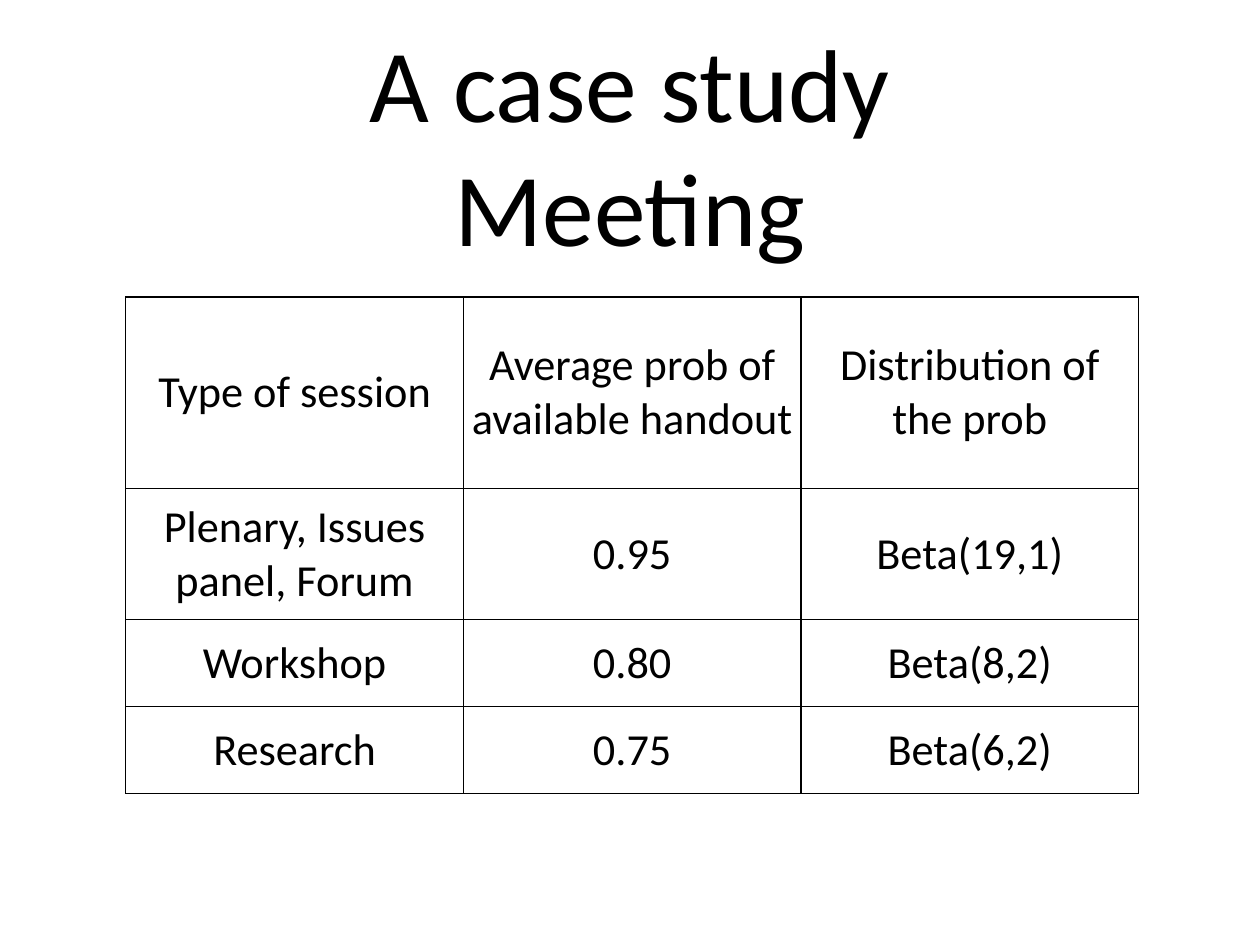
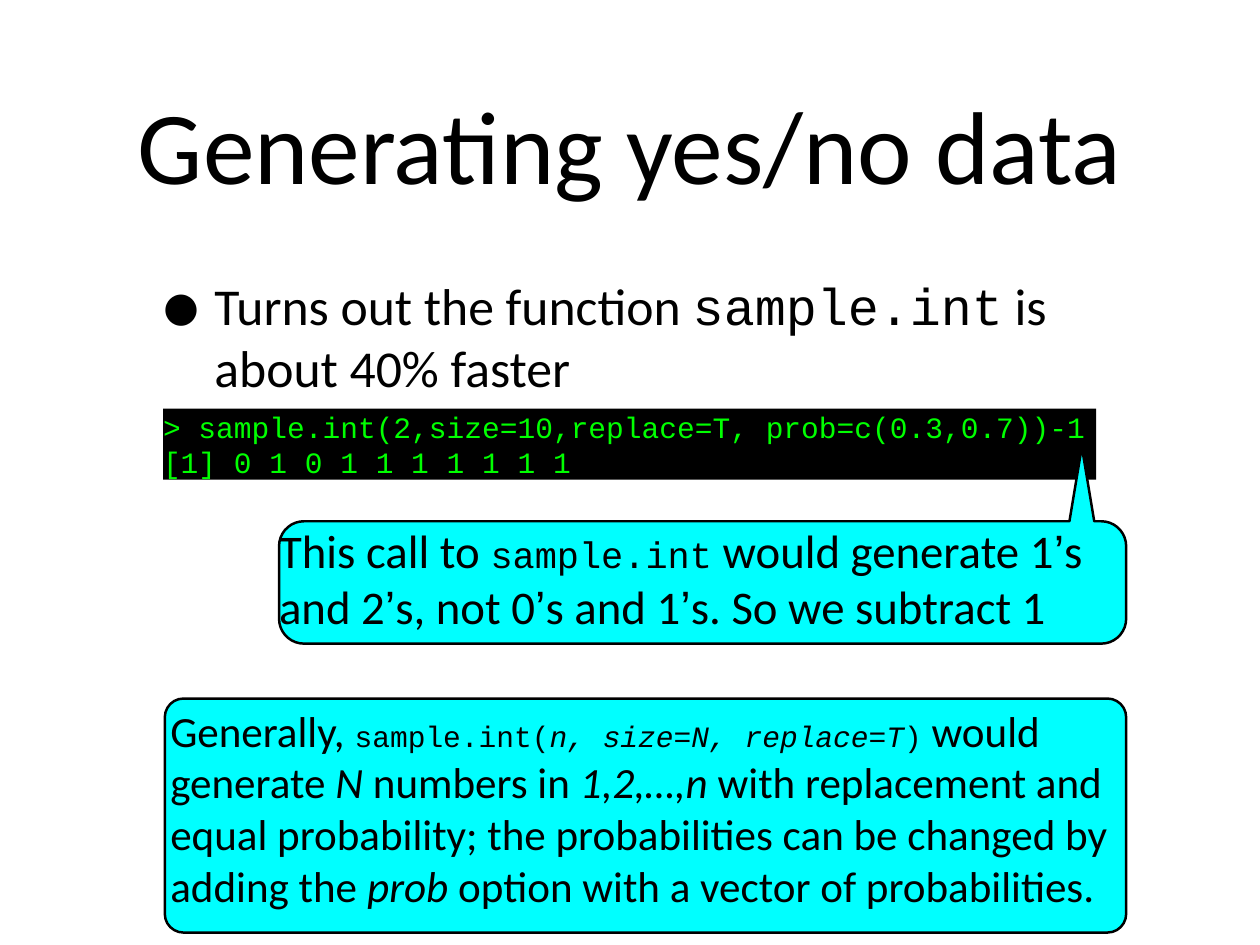
from itertools import groupby
from math import cos, radians, sin

from lxml import etree
from pptx import Presentation
from pptx.dml.color import RGBColor
from pptx.enum.shapes import MSO_SHAPE
from pptx.enum.text import MSO_ANCHOR, PP_ALIGN
from pptx.oxml.ns import qn
from pptx.util import Inches, Pt

LEFT, CENTER = PP_ALIGN.LEFT, PP_ALIGN.CENTER
TOP, MIDDLE = MSO_ANCHOR.TOP, MSO_ANCHOR.MIDDLE
RECT, ROUND = MSO_SHAPE.RECTANGLE, MSO_SHAPE.ROUNDED_RECTANGLE

COLORS = {"ink": "000000", "note": "00FFFF", "code": "00FF00"}
BODY, MONO, QUOTE = "Calibri", "Courier New", "Arial"
SIZE = (14.22, 10.66)
TITLE = {"box": (1.39, 0.28, 11.44, 2.67), "size": 84}

STUDY = "A case study\vMeeting"
SESSIONS = [
    ("Type of session", "Average prob of available handout", "Distribution of the prob"),
    ("Plenary, Issues panel, Forum", "0.95", "Beta(19,1)"),
    ("Workshop", "0.80", "Beta(8,2)"),
    ("Research", "0.75", "Beta(6,2)"),
]
GRID = {"at": (1.42, 3.35), "col": 3.81, "rows": (2.16, 1.48, 0.98, 0.98), "size": 36}

YESNO = "Generating yes/no data"
POINT = [
    ("Turns out the function ", {}),
    ("sample.int", {"name": MONO}),
    (" is about 40% faster", {}),
]
CODE = [(
    "> sample.int(2,size=10,replace=T, prob=c(0.3,0.7))-1 [1] 0 1 0 1 1 1 1 1 1 1",
    {"name": MONO, "color": "code"},
)]
CALL = [
    ("This call to ", {}),
    ("sample.int", {"name": MONO, "size": 30}),
    (" would generate 1’s and 2’s, not 0’s and 1’s. So we subtract 1", {}),
]
SMALL = {"name": MONO, "size": 24}
SLANT = {"italic": True}
RULE = [
    ("Generally, ", {}),
    ("sample.int(", SMALL),
    ("n, size=N, replace=T", SMALL | SLANT),
    (")", SMALL),
    (" would generate ", {}),
    ("N ", SLANT),
    ("numbers in ", {}),
    ("1,2,…,n", SLANT),
    (" with replacement and equal probability; the probabilities can be "
     "changed by adding the ", {}),
    ("prob", SLANT),
    (" option with a vector of probabilities.", {}),
]
CALLOUT = {"box": (3.15, 5.88, 9.56, 1.38), "tip": (12.21, 5.04), "half": 0.14, "radius": 0.28}


def tint(name):
    return RGBColor.from_string(COLORS[name])


def write(frame, runs, size, align=LEFT):
    para = frame.paragraphs[0]
    para.alignment = align
    for text, style in runs:
        look = {"name": BODY, "size": size, "italic": False, "color": "ink"} | style
        for quote, chars in groupby(text, lambda char: char == "’"):
            run = para.add_run()
            run.text = "".join(chars)
            values = {
                "name": QUOTE if quote else look["name"],
                "size": Pt(look["size"]),
                "italic": look["italic"],
            }
            for key, value in values.items():
                setattr(run.font, key, value)
            run.font.color.rgb = tint(look["color"])
    return para


def layout(frame, pad=0, anchor=TOP, top=None):
    values = {
        "word_wrap": True,
        "vertical_anchor": anchor,
        "margin_left": Inches(pad),
        "margin_right": Inches(pad),
        "margin_top": Inches(pad if top is None else top),
        "margin_bottom": Inches(pad),
    }
    for key, value in values.items():
        setattr(frame, key, value)


def add_text(slide, box, runs, size, align=LEFT, anchor=TOP):
    frame = slide.shapes.add_textbox(*map(Inches, box)).text_frame
    layout(frame, 0.06, anchor)
    para = frame.paragraphs[0]
    for index, line in enumerate(runs):
        text, style = line
        if "\v" in text:
            first, last = text.split("\v")
            write(frame, [(first, style)], size, align)
            para.add_line_break()
            text = last
        write(frame, [(text, style)], size, align)
    return para


def add_slide(title):
    slide = deck.slides.add_slide(deck.slide_layouts[6])
    add_text(slide, TITLE["box"], [(title, {})], TITLE["size"], CENTER, MIDDLE)
    return slide


def paint(shape, fill, line=None):
    shape.shadow.inherit = False
    shape.fill.solid()
    shape.fill.fore_color.rgb = tint(fill)
    if line:
        shape.line.color.rgb = tint(line)
        shape.line.width = Pt(2)
    else:
        shape.line.fill.background()


def add_bullet(para):
    props = para._p.get_or_add_pPr()
    props.set("marL", str(Inches(0.97)))
    props.set("indent", str(Inches(-0.62)))
    color = etree.SubElement(props, qn("a:buClr"))
    etree.SubElement(color, qn("a:srgbClr"), val=COLORS["ink"])
    etree.SubElement(props, qn("a:buSzPct"), val="171000")
    etree.SubElement(props, qn("a:buFont"), typeface=BODY)
    etree.SubElement(props, qn("a:buChar"), char="•")


def add_border(cell):
    props = cell._tc.get_or_add_tcPr()
    for place, side in enumerate(("a:lnL", "a:lnR", "a:lnT", "a:lnB")):
        line = etree.Element(qn(side), w=str(Pt(0.96)))
        fill = etree.SubElement(line, qn("a:solidFill"))
        etree.SubElement(fill, qn("a:srgbClr"), val=COLORS["ink"])
        props.insert(place, line)


def add_grid(slide):
    rows, cols = len(SESSIONS), len(SESSIONS[0])
    box = (*GRID["at"], GRID["col"] * cols, sum(GRID["rows"]))
    table = slide.shapes.add_table(rows, cols, *map(Inches, box)).table
    table.first_row = table.horz_banding = False
    for col in table.columns:
        col.width = Inches(GRID["col"])
    for row, height, texts in zip(table.rows, GRID["rows"], SESSIONS):
        row.height = Inches(height)
        for cell, text in zip(row.cells, texts):
            cell.vertical_anchor = MIDDLE
            cell.margin_left = cell.margin_right = Inches(0.06)
            cell.margin_top = cell.margin_bottom = Inches(0.05)
            cell.fill.background()
            add_border(cell)
            write(cell.text_frame, [(text, {})], GRID["size"], CENTER)


def add_box(slide, kind, box, fill, line, runs, size, anchor):
    shape = slide.shapes.add_shape(kind, *map(Inches, box))
    if kind == ROUND:
        shape.adjustments[0] = 0.08
    paint(shape, fill, line)
    layout(shape.text_frame, anchor=anchor)
    write(shape.text_frame, runs, size)


def add_callout(slide):
    left, top, width, height = CALLOUT["box"]
    tip, half, radius = CALLOUT["tip"], CALLOUT["half"], CALLOUT["radius"]
    west, east = left + radius, left + width - radius
    north, south = top + radius, top + height - radius
    corners = [(west, north, 270), (west, south, 180), (east, south, 90), (east, north, 0)]
    points = [(tip[0] - half, top)]
    for x, y, start in corners:
        for angle in range(start, start - 91, -10):
            turn = radians(angle)
            points.append((x + radius * cos(turn), y + radius * sin(turn)))
    points.append((tip[0] + half, top))
    pen = slide.shapes.build_freeform(*map(Inches, tip))
    pen.add_line_segments([(Inches(x), Inches(y)) for x, y in points], close=True)
    shape = pen.convert_to_shape()
    paint(shape, "note", "ink")
    layout(shape.text_frame, top=top - tip[1])
    write(shape.text_frame, CALL, 38)


deck = Presentation()
deck.slide_width, deck.slide_height = map(Inches, SIZE)

add_grid(add_slide(STUDY))

slide = add_slide(YESNO)
add_bullet(add_text(slide, (1.39, 3.03, 11.44, 6.25), POINT, 42))
add_box(slide, RECT, (1.84, 4.61, 10.53, 0.8), "ink", None, CODE, 24, MIDDLE)
add_callout(slide)
add_box(slide, ROUND, (1.86, 7.88, 10.85, 2.64), "note", "ink", RULE, 35, TOP)

deck.save("out.pptx")
